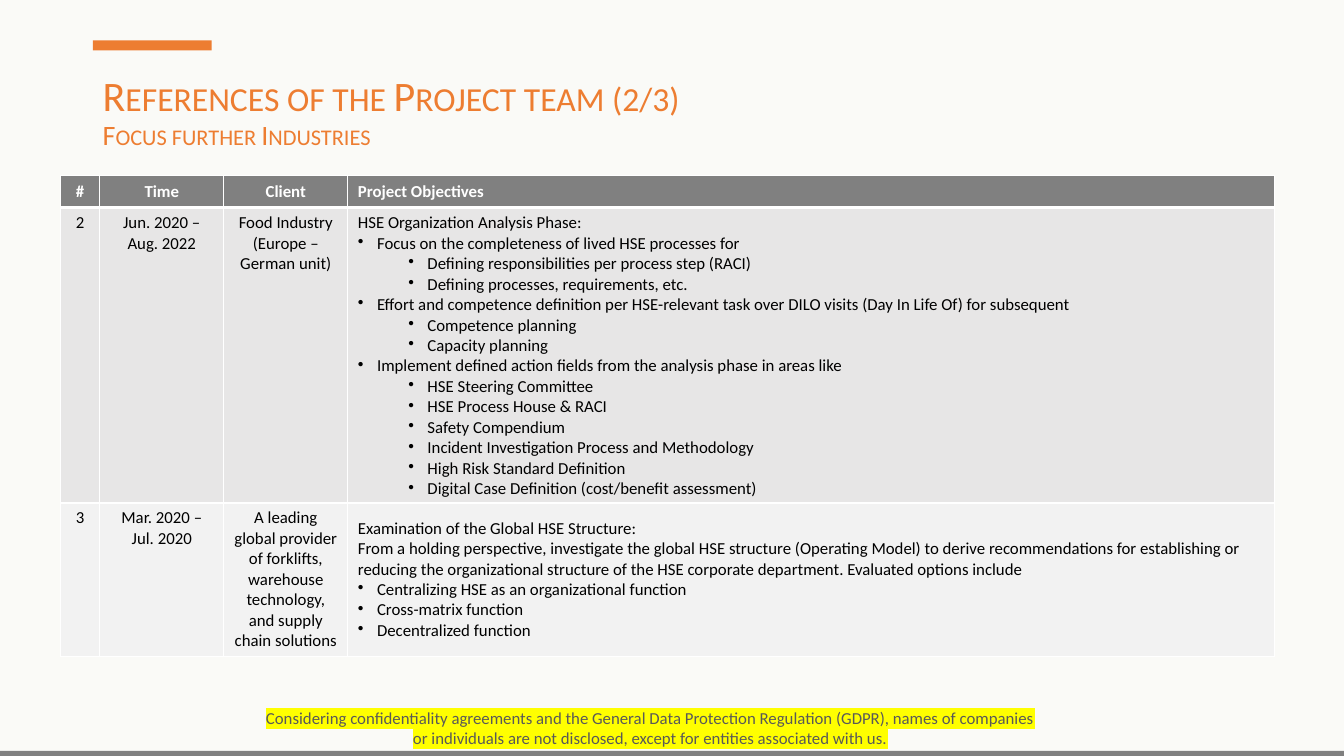
from dataclasses import dataclass

from lxml import etree
from pptx import Presentation
from pptx import util as u
from pptx.dml.color import RGBColor
from pptx.enum import shapes, text
from pptx.oxml.ns import qn

PAPER = RGBColor(0xFA, 0xFA, 0xF7)
ORANGE = RGBColor(0xED, 0x7D, 0x31)
GRAY = RGBColor(0x80, 0x80, 0x80)
DARK_GRAY = RGBColor(0x59, 0x59, 0x59)
ROW_DARK = RGBColor(0xE7, 0xE6, 0xE6)
ROW_LIGHT = RGBColor(0xF2, 0xF2, 0xF2)
WHITE = RGBColor(0xFF, 0xFF, 0xFF)
BLACK = RGBColor(0x00, 0x00, 0x00)
YELLOW = RGBColor(0xFF, 0xFF, 0x00)

CENTER, LEFT = text.PP_ALIGN.CENTER, text.PP_ALIGN.LEFT
TOP, MIDDLE = text.MSO_ANCHOR.TOP, text.MSO_ANCHOR.MIDDLE


@dataclass
class Bar:
    left: float
    top: float
    width: float
    height: float
    color: RGBColor


@dataclass
class Line:
    text: str
    level: int = 0  # 0 plain, 1 bullet, 2 nested bullet


@dataclass
class Project:
    number: str
    time: str
    client: str
    objectives: list[Line]
    fill: RGBColor
    height: float


BARS = [Bar(0, 7.45, 13.33, 0.08, GRAY), Bar(0.92, 0.4, 1.18, 0.1, ORANGE)]
COLUMNS = {"#": 0.39, "Time": 1.23, "Client": 1.23, "Project Objectives": 9.19}
HEADER_HEIGHT = 0.32

PROJECTS = [
    Project("2", "Jun. 2020 – Aug. 2022", "Food Industry (Europe – German unit)", [
        Line("HSE Organization Analysis Phase:"),
        Line("Focus on the completeness of lived HSE processes for", 1),
        Line("Defining responsibilities per process step (RACI)", 2),
        Line("Defining processes, requirements, etc.", 2),
        Line("Effort and competence definition per HSE-relevant task over DILO visits "
             "(Day In Life Of) for subsequent", 1),
        Line("Competence planning", 2),
        Line("Capacity planning", 2),
        Line("Implement defined action fields from the analysis phase in areas like", 1),
        Line("HSE Steering Committee", 2),
        Line("HSE Process House & RACI", 2),
        Line("Safety Compendium", 2),
        Line("Incident Investigation Process and Methodology", 2),
        Line("High Risk Standard Definition", 2),
        Line("Digital Case Definition (cost/benefit assessment)", 2),
    ], ROW_DARK, 2.93),
    Project("3", "Mar. 2020 – Jul. 2020",
            "A leading global provider of forklifts, warehouse technology, "
            "and supply chain solutions", [
        Line("Examination of the Global HSE Structure:"),
        Line("From a holding perspective, investigate the global HSE structure (Operating Model) "
             "to derive recommendations for establishing or reducing the organizational structure "
             "of the HSE corporate department. Evaluated options include"),
        Line("Centralizing HSE as an organizational function", 1),
        Line("Cross-matrix function", 1),
        Line("Decentralized function", 1),
    ], ROW_LIGHT, 1.52),
]


def set_font(font, size: float, color: RGBColor, bold: bool = False) -> None:
    for name, value in {"name": "Calibri", "size": u.Pt(size), "bold": bold}.items():
        setattr(font, name, value)
    font.color.rgb = color


def add_bar(s, bar: Bar) -> None:
    sp = s.shapes.add_shape(shapes.MSO_SHAPE.RECTANGLE, u.Inches(bar.left), u.Inches(bar.top),
                            u.Inches(bar.width), u.Inches(bar.height))
    sp.shadow.inherit = False
    sp.fill.solid()
    sp.fill.fore_color.rgb = bar.color
    sp.line.fill.background()


def add_text_frame(s, left: float, top: float, width: float, height: float, anchor):
    sp = s.shapes.add_textbox(*map(u.Inches, (left, top, width, height)))
    tf = sp.text_frame
    for name, value in {"word_wrap": True, "vertical_anchor": anchor}.items():
        setattr(tf, name, value)
    return tf


def add_bullet(p, level: int) -> None:
    p.level = level - 1
    pPr = p._p.get_or_add_pPr()
    pPr.set("marL", str(u.Inches(0.19 + 0.5 * (level - 1))))
    pPr.set("indent", str(u.Inches(-0.19)))
    etree.SubElement(pPr, qn("a:buChar"), char="•")


def set_borders(cell, bottom: float) -> None:
    tcPr = cell._tc.get_or_add_tcPr()
    widths = {"a:lnL": 1, "a:lnR": 1, "a:lnT": 1, "a:lnB": bottom}
    for i, (tag, width) in enumerate(widths.items()):
        ln = etree.Element(qn(tag), w=str(u.Pt(width)))
        fill = etree.SubElement(ln, qn("a:solidFill"))
        etree.SubElement(fill, qn("a:srgbClr"), val=str(WHITE))
        tcPr.insert(i, ln)


def fill_cell(cell, lines: list[Line], fill: RGBColor, color: RGBColor, align, anchor,
              bold: bool = False, bottom: float = 1) -> None:
    cell.fill.solid()
    cell.fill.fore_color.rgb = fill
    cell.vertical_anchor = anchor
    set_borders(cell, bottom)
    tf = cell.text_frame
    for i, line in enumerate(lines):
        p = tf.add_paragraph() if i else tf.paragraphs[0]
        p.alignment = align
        if line.level:
            add_bullet(p, line.level)
        r = p.add_run()
        r.text = line.text
        set_font(r.font, 12, color, bold)


def add_title(s) -> None:
    p = add_text_frame(s, 0.92, 0.4, 11.5, 1.45, MIDDLE).paragraphs[0]
    p.line_spacing = 0.9
    for i, (words, size) in enumerate([("References of the Project team (2/3)", 30),
                                       ("Focus further Industries", 20)]):
        if i:
            p.add_line_break()
        r = p.add_run()
        r.text = words
        set_font(r.font, size, ORANGE)
        r._r.get_or_add_rPr().set("cap", "small")


def add_projects(s) -> None:
    heights = [HEADER_HEIGHT] + [project.height for project in PROJECTS]
    frame = s.shapes.add_table(len(heights), len(COLUMNS), u.Inches(0.6), u.Inches(1.74),
                               u.Inches(sum(COLUMNS.values())), u.Inches(sum(heights)))
    table = frame.table
    for row, height in zip(table.rows, heights):
        row.height = u.Inches(height)
    for i, (label, width) in enumerate(COLUMNS.items()):
        table.columns[i].width = u.Inches(width)
        align = LEFT if i == len(COLUMNS) - 1 else CENTER
        fill_cell(table.cell(0, i), [Line(label)], GRAY, WHITE, align, MIDDLE, True, 3)
    for i, project in enumerate(PROJECTS, 1):
        for j, words in enumerate((project.number, project.time, project.client)):
            fill_cell(table.cell(i, j), [Line(words)], project.fill, BLACK, CENTER, TOP)
        fill_cell(table.cell(i, 3), project.objectives, project.fill, BLACK, LEFT, MIDDLE)


def add_note(s) -> None:
    p = add_text_frame(s, 2.47, 6.97, 7.96, 0.5, TOP).paragraphs[0]
    p.alignment = CENTER
    r = p.add_run()
    r.text = ("Considering confidentiality agreements and the General Data Protection Regulation "
              "(GDPR), names of companies or individuals are not disclosed, except for entities "
              "associated with us.")
    set_font(r.font, 12, DARK_GRAY)
    highlight = etree.Element(qn("a:highlight"))
    etree.SubElement(highlight, qn("a:srgbClr"), val=str(YELLOW))
    r._r.get_or_add_rPr().find(qn("a:solidFill")).addnext(highlight)


def main() -> None:
    prs = Presentation()
    prs.slide_width, prs.slide_height = u.Inches(13.33), u.Inches(7.5)
    s = prs.slides.add_slide(prs.slide_layouts[6])
    s.background.fill.solid()
    s.background.fill.fore_color.rgb = PAPER
    # Accent bars and title
    for bar in BARS:
        add_bar(s, bar)
    add_title(s)
    # Project table and confidentiality note
    add_projects(s)
    add_note(s)
    prs.save("out.pptx")


if __name__ == "__main__":
    main()
